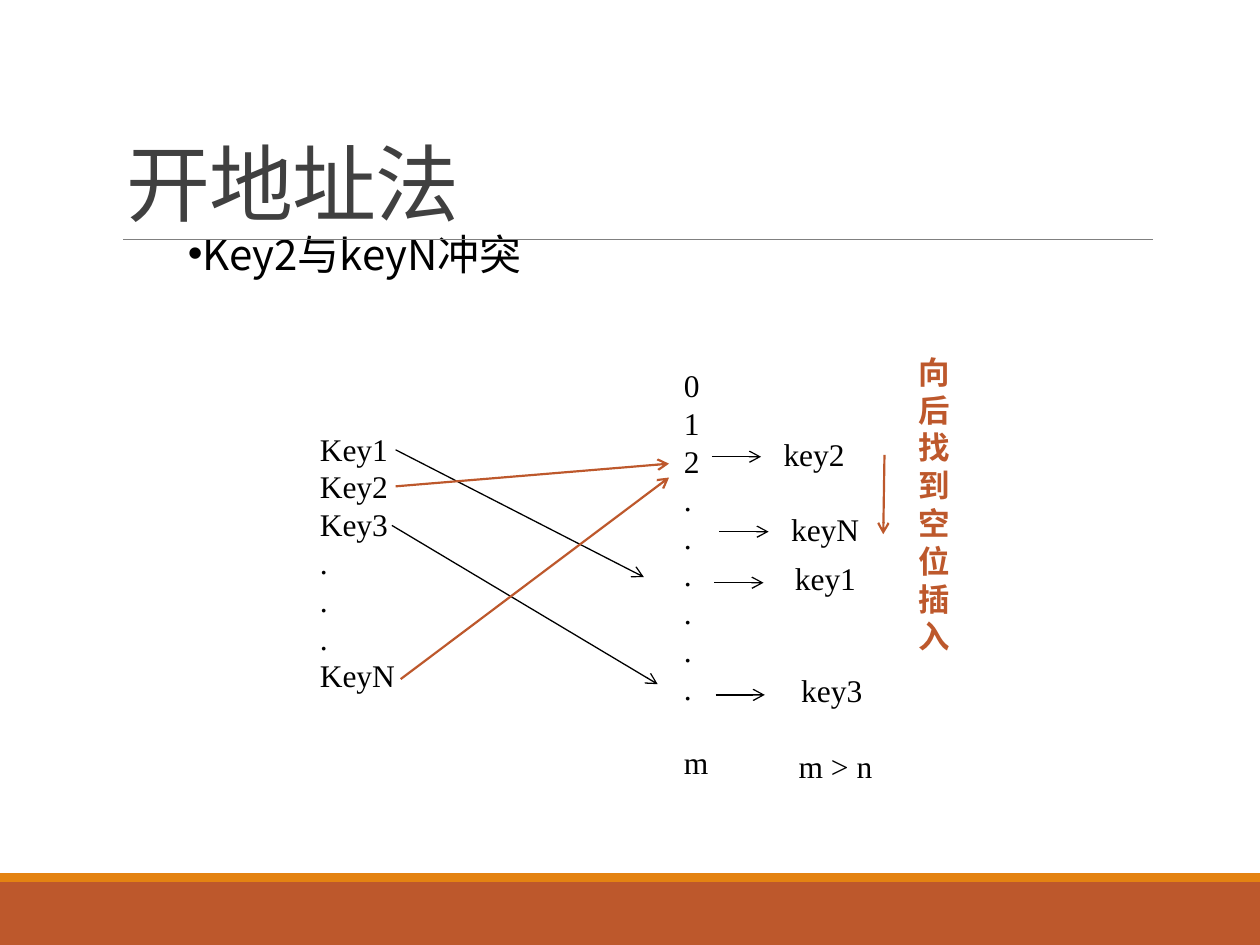
from pptx import Presentation
from pptx.dml.color import RGBColor
from pptx.enum.shapes import MSO_CONNECTOR as Connector, MSO_SHAPE as Shape
from pptx.enum.text import MSO_ANCHOR as Anchor, MSO_AUTO_SIZE as AutoSize, PP_ALIGN as Align
from pptx.oxml.ns import qn
from pptx.util import Inches, Pt
from lxml.etree import SubElement

# Content
TITLE = "开地址法"
POINT = "Key2与keyN冲突"
KEYS = ["Key1", "Key2", "Key3", ".", ".", ".", "KeyN"]
SLOTS = ["0", "1", "2"] + ["."] * 6 + ["m"]
NOTE = "向后找到空位插入"
COLORS = {"text": "000000", "title": "404040", "accent": "BD582C",
          "strip": "E48312", "rule": "808080"}
WIDTH, HEIGHT = 10, 7.5
SERIF = "Times New Roman"

# Text boxes: lines, left, top, width, height
BOXES = [
    (KEYS, 2.44, 3.36, 0.97, 2.22),
    (SLOTS, 5.33, 2.86, 0.83, 3.43),
    (["m > n"], 6.24, 5.88, 1.19, 0.4),
]
# Stored entries: label, label left, label top, width, arrow left, arrow height
ENTRIES = [
    ("key2", 6.12, 3.4, 0.79, 5.65, 3.625),
    ("keyN", 6.18, 4, 0.88, 5.71, 4.22),
    ("key1", 6.21, 4.39, 0.72, 5.67, 4.625),
    ("key3", 6.26, 5.28, 0.72, 5.68, 5.515),
]
ENTRY_ARROW = 0.39
# Hash arrows: start, end, colour, width
ARROWS = [
    ((3.14, 3.57), (5.11, 4.58), "text", 0.75),
    ((3.14, 3.86), (5.31, 3.68), "accent", 1.25),
    ((3.11, 4.17), (5.22, 5.43), "text", 0.75),
    ((3.18, 5.39), (5.31, 3.79), "accent", 1.25),
    ((7.02, 3.61), (7.01, 4.24), "accent", 1.25),
]


def color(name):
    return RGBColor.from_string(COLORS[name])


def place(shape, *area):
    shape.left, shape.top, shape.width, shape.height = map(Inches, area)


def style(para, font, size, ink, bold=False):
    for span in para.runs:
        span.font.name, span.font.size, span.font.bold = font, Pt(size), bold
        span.font.color.rgb = color(ink)


def add_band(page, top, height, fill):
    band = page.shapes.add_shape(Shape.RECTANGLE, 0, Inches(top), Inches(WIDTH), Inches(height))
    band.shadow.inherit = False
    band.fill.solid()
    band.fill.fore_color.rgb = color(fill)
    band.line.fill.background()


def add_line(page, start, end, ink, width, arrow=True):
    line = page.shapes.add_connector(Connector.STRAIGHT, *map(Inches, start + end))
    line.line.color.rgb = color(ink)
    line.line.width = Pt(width)
    if arrow:
        SubElement(line.line._get_or_add_ln(), qn("a:tailEnd"), type="arrow")
    SubElement(line._element.spPr, qn("a:effectLst"))


def add_text(page, lines, *area, ink="text", bold=False):
    box = page.shapes.add_textbox(*map(Inches, area))
    frame = box.text_frame
    frame.word_wrap = True
    frame.text = "\n".join(lines)
    for para in frame.paragraphs:
        style(para, SERIF, 18, ink, bold)
    return frame


def main():
    deck = Presentation()
    deck.slide_width, deck.slide_height = Inches(WIDTH), Inches(HEIGHT)
    page = deck.slides.add_slide(deck.slide_layouts[1])
    title, body = page.placeholders

    # Footer bands and title rule
    add_band(page, 7, 0.5, "accent")
    add_band(page, 6.93, 0.07, "strip")
    add_line(page, (0.98, 1.9), (9.15, 1.9), "rule", 0.5, arrow=False)

    # Title
    place(title, 0.9, 0.31, 8.25, 1.59)
    frame = title.text_frame
    frame.text = TITLE
    frame.auto_size, frame.vertical_anchor = AutoSize.NONE, Anchor.BOTTOM
    para = frame.paragraphs[0]
    para.alignment, para.line_spacing = Align.LEFT, 0.85
    style(para, "Calibri", 48, "title")
    para.runs[0].font._element.set("spc", "-50")

    # Bulleted point
    place(body, 1.39, 1.76, 7.44, 0.51)
    frame = body.text_frame
    frame.text = POINT
    frame.auto_size = AutoSize.NONE
    para = frame.paragraphs[0]
    para.space_before = Pt(0)
    properties = para._p.get_or_add_pPr()
    properties.set("marL", "0")
    properties.set("indent", "0")
    SubElement(properties, qn("a:buChar"), char="•")
    style(para, "Noto Sans CJK SC", 24, "text")

    # Keys, slots and size condition
    frames = [add_text(page, *box) for box in BOXES]
    frames[1].paragraphs[-1].space_before = Pt(21)

    # Hash arrows and stored entries
    for arrow in ARROWS:
        add_line(page, *arrow)
    for label, left, top, width, start, level in ENTRIES:
        add_line(page, (start, level), (start + ENTRY_ARROW, level), "text", 0.75)
        add_text(page, [label], left, top, width, 0.4)

    # Probing note, one character to a line
    add_text(page, [NOTE], 7.19, 2.75, 0.47, 2.52, ink="accent", bold=True)

    deck.save("out.pptx")


if __name__ == "__main__":
    main()
